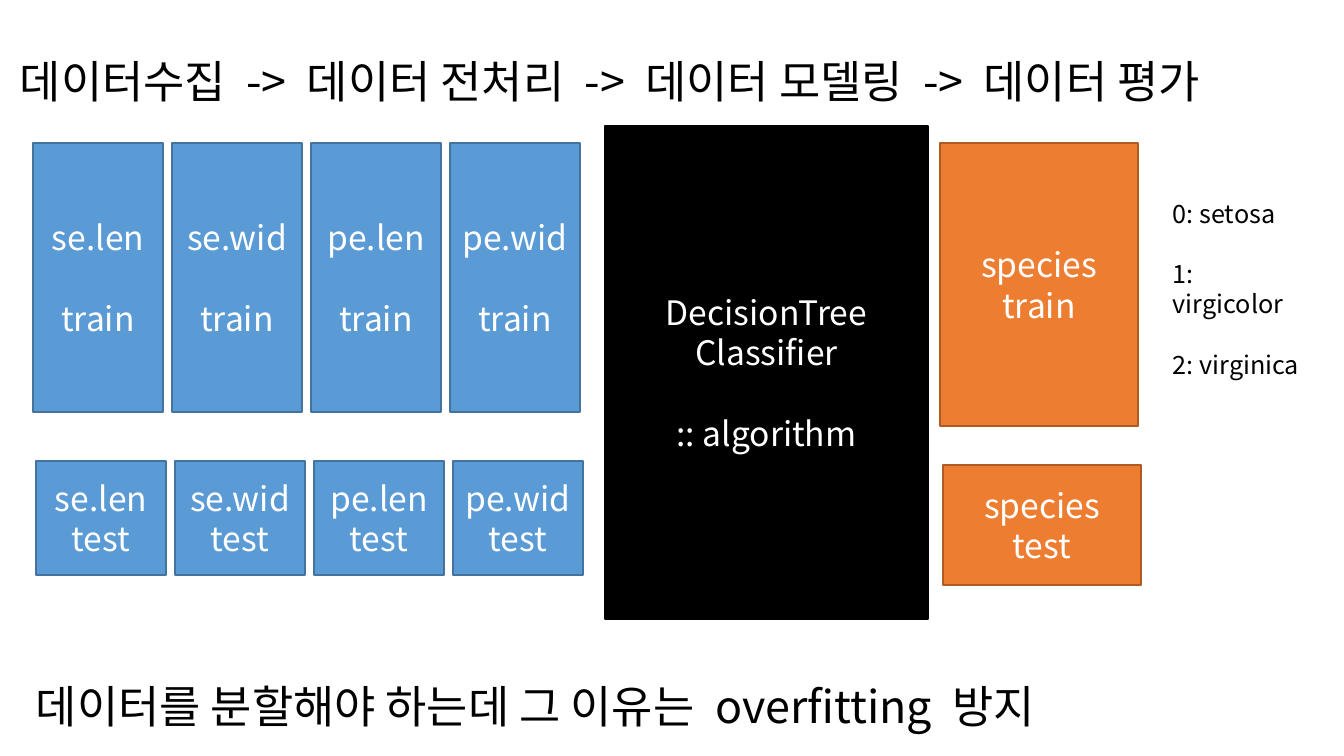
from pptx import Presentation
from pptx.dml.color import RGBColor
from pptx.enum.shapes import MSO_SHAPE
from pptx.enum.text import MSO_ANCHOR, PP_ALIGN
from pptx.oxml.ns import qn
from pptx.util import Pt
from lxml import etree

RECT = MSO_SHAPE.RECTANGLE
MIDDLE = MSO_ANCHOR.MIDDLE
CENTER, LEFT = PP_ALIGN.CENTER, PP_ALIGN.LEFT
FONT = "Noto Sans CJK KR"
PX = 914400 / 100.8
BLUE, NAVY = "5B9BD5", "43739E"
ORANGE, RUST = "ED7D31", "AF5C24"
BLACK, WHITE = "000000", "FFFFFF"

deck = Presentation()
deck.slide_width, deck.slide_height = round(1344 * PX), round(756 * PX)
slide = deck.slides.add_slide(deck.slide_layouts[6])


def write(frame, lines, size, color, align, gaps):
    """Each line is a list of pieces set apart by a widened space."""
    frame.word_wrap = True
    for i, pieces in enumerate(lines):
        par = frame.paragraphs[0] if i == 0 else frame.add_paragraph()
        par.alignment = align
        par.space_before = Pt(gaps.get(i, 0))
        par.font.size = Pt(size)
        par.font.color.rgb = RGBColor.from_string(color)
        par.font.name = FONT
        props = par._p.pPr.find(qn("a:defRPr"))
        etree.SubElement(props, qn("a:ea")).set("typeface", FONT)
        for j, piece in enumerate(pieces):
            if j:
                space = par.add_run()
                space.text = " "
                space._r.get_or_add_rPr().set("spc", "720")
            par.add_run().text = piece


def block(box, fill, edge, lines, gaps={}):
    shape = slide.shapes.add_shape(RECT, *[round(n * PX) for n in box])
    shape.shadow.inherit = False
    shape.fill.solid()
    shape.fill.fore_color.rgb = RGBColor.from_string(fill)
    shape.line.color.rgb = RGBColor.from_string(edge)
    shape.line.width = Pt(1)
    shape.text_frame.vertical_anchor = MIDDLE
    write(shape.text_frame, [[line] for line in lines], 24, WHITE, CENTER, gaps)


# Feature columns: train above test
for i, name in enumerate(["se.len", "se.wid", "pe.len", "pe.wid"]):
    left = 33 + 139 * i
    block((left, 143, 130, 269), BLUE, NAVY, [name, "train"], {1: 29})
    block((left + 3, 461, 130, 114), BLUE, NAVY, [name, "test"])

# Target column
block((940, 143, 198, 283), ORANGE, RUST, ["species", "train"])
block((943, 465, 198, 120), ORANGE, RUST, ["species", "test"])

# Classifier
block((605, 126, 323, 493), BLACK, BLACK,
      ["DecisionTree", "Classifier", ":: algorithm"], {2: 29})

# Steps, class labels and conclusion
steps = ["데이터수집", "->", "데이터 전처리", "->", "데이터 모델링", "->", "데이터 평가"]
labels = [["0: setosa"], ["1: virgicolor"], ["2: virginica"]]
reason = ["데이터를 분할해야 하는데 그 이유는", "overfitting", "방지"]
for box, lines, size, gaps in [
    ((10, 49, 1309, 65), [steps], 32, {}),
    ((1163, 193, 155, 163), labels, 18, {1: 21.5, 2: 21.5}),
    ((26, 674, 1112, 65), [reason], 32, {}),
]:
    text = slide.shapes.add_textbox(*[round(n * PX) for n in box])
    write(text.text_frame, lines, size, BLACK, LEFT, gaps)

deck.save("out.pptx")
